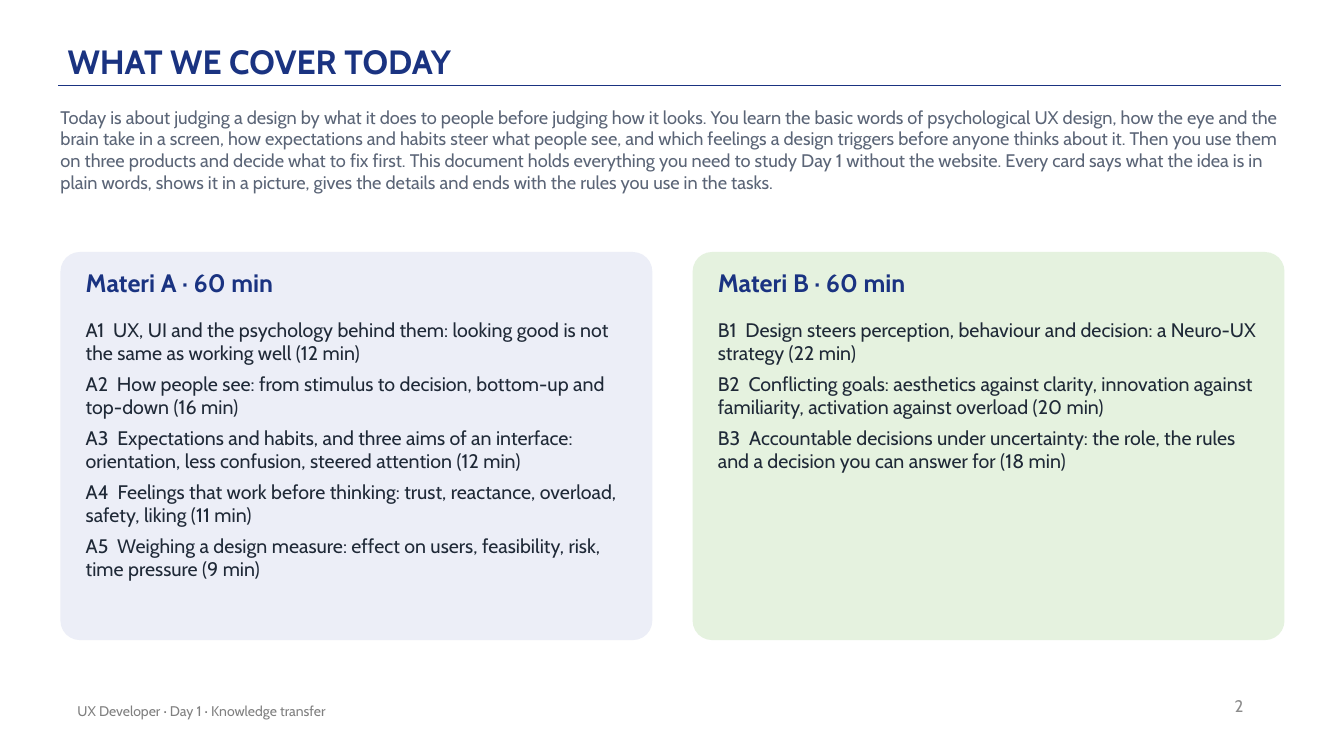
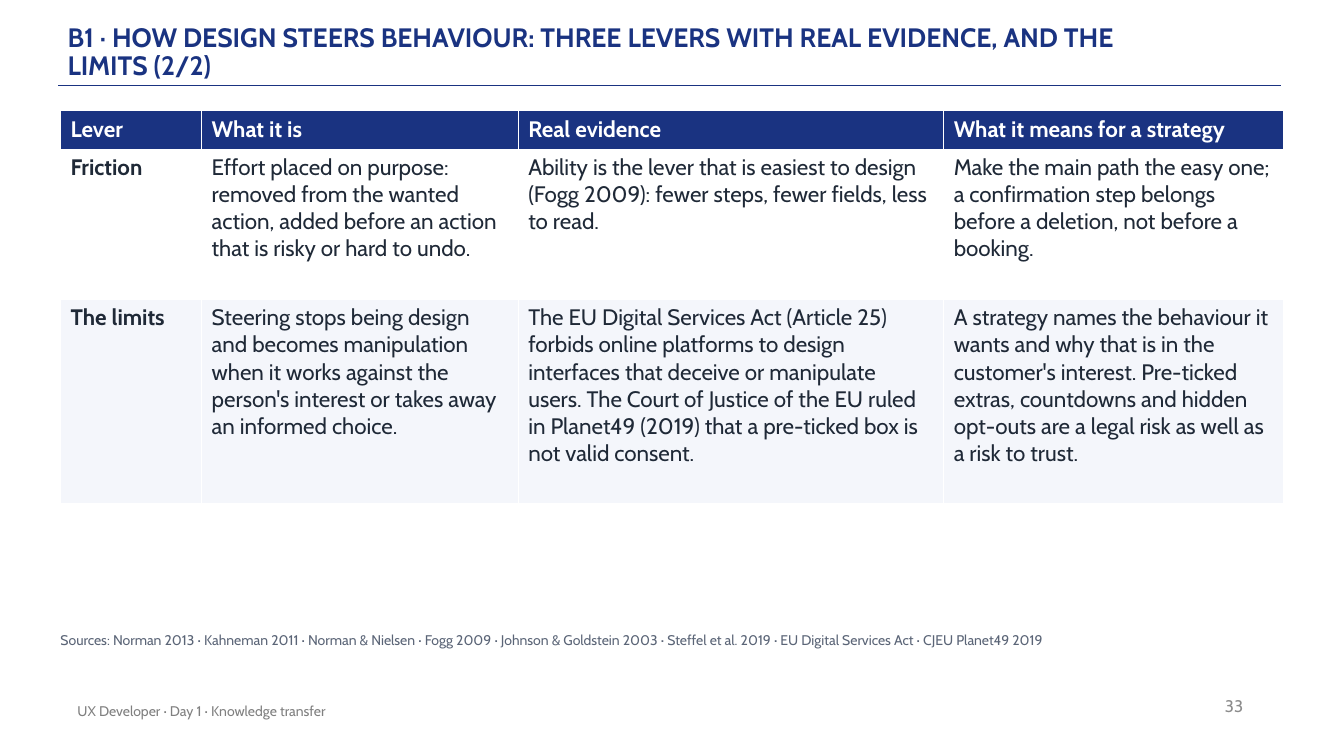
from dataclasses import dataclass

from pptx import Presentation
from pptx.dml.color import RGBColor as Rgb
from pptx.enum.shapes import MSO_CONNECTOR as Link, MSO_SHAPE as Form
from pptx.enum.text import MSO_ANCHOR as Anchor, PP_ALIGN as Align
from pptx.oxml.ns import qn
from pptx.util import Emu, Pt
from lxml.etree import SubElement as add_child

PX = 9144  # one px is a hundredth of an inch


@dataclass(frozen=True)
class Theme:
    font: str = "Cabin"
    navy: str = "1A3381"
    ink: str = "1F2937"
    slate: str = "5B6577"
    gray: str = "808080"
    pale: str = "8C8C8C"
    white: str = "FFFFFF"
    band: str = "F4F6FB"
    blue: str = "ECEEF7"
    green: str = "E5F2DF"
    title: int = 24
    small: int = 19  # long titles
    head: int = 18
    cell: int = 16
    body: int = 14
    intro: int = 13
    page: int = 12
    note: int = 10


T = Theme()
LEFT = 60
WIDE = 1210

COVER = {
    "title": "WHAT WE COVER TODAY",
    "page": "2",
    "intro": (
        "Today is about judging a design by what it does to people before judging how it looks. "
        "You learn the basic words of psychological UX design, how the eye and the brain take in a screen, "
        "how expectations and habits steer what people see, and which feelings a design triggers before "
        "anyone thinks about it. Then you use them on three products and decide what to fix first. "
        "This document holds everything you need to study Day 1 without the website. Every card says what "
        "the idea is in plain words, shows it in a picture, gives the details and ends with the rules you "
        "use in the tasks."
    ),
    "cards": [
        ("Materi A · 60 min", T.blue, [
            "A1  UX, UI and the psychology behind them: looking good is not the same as working well (12 min)",
            "A2  How people see: from stimulus to decision, bottom-up and top-down (16 min)",
            "A3  Expectations and habits, and three aims of an interface: orientation, less confusion, "
            "steered attention (12 min)",
            "A4  Feelings that work before thinking: trust, reactance, overload, safety, liking (11 min)",
            "A5  Weighing a design measure: effect on users, feasibility, risk, time pressure (9 min)",
        ]),
        ("Materi B · 60 min", T.green, [
            "B1  Design steers perception, behaviour and decision: a Neuro-UX strategy (22 min)",
            "B2  Conflicting goals: aesthetics against clarity, innovation against familiarity, "
            "activation against overload (20 min)",
            "B3  Accountable decisions under uncertainty: the role, the rules and a decision you can "
            "answer for (18 min)",
        ]),
    ],
}

LEVERS = {
    "title": "B1 · HOW DESIGN STEERS BEHAVIOUR: THREE LEVERS WITH REAL EVIDENCE, AND THE LIMITS (2/2)",
    "page": "33",
    "cols": [140, 314, 422, 337],
    "heights": [38, 149, 203],
    "rows": [
        ["Lever", "What it is", "Real evidence", "What it means for a strategy"],
        ["Friction",
         "Effort placed on purpose: removed from the wanted action, added before an action that is risky "
         "or hard to undo.",
         "Ability is the lever that is easiest to design (Fogg 2009): fewer steps, fewer fields, less to read.",
         "Make the main path the easy one; a confirmation step belongs before a deletion, not before a booking."],
        ["The limits",
         "Steering stops being design and becomes manipulation when it works against the person's interest "
         "or takes away an informed choice.",
         "The EU Digital Services Act (Article 25) forbids online platforms to design interfaces that deceive "
         "or manipulate users. The Court of Justice of the EU ruled in Planet49 (2019) that a pre-ticked box "
         "is not valid consent.",
         "A strategy names the behaviour it wants and why that is in the customer's interest. Pre-ticked "
         "extras, countdowns and hidden opt-outs are a legal risk as well as a risk to trust."],
    ],
    "sources": (
        "Sources: Norman 2013 · Kahneman 2011 · Norman & Nielsen · Fogg 2009 · Johnson & Goldstein 2003 · "
        "Steffel et al. 2019 · EU Digital Services Act · CJEU Planet49 2019"
    ),
}


# Basic elements
def px(*nums):
    return [Emu(n * PX) for n in nums]


def assign(obj, values):
    for name, value in values.items():
        setattr(obj, name, value)


def write(para, text, size, color, bold=False):
    run = para.add_run()
    run.text = text
    assign(run.font, {"name": T.font, "size": Pt(size), "bold": bold})
    run.font.color.rgb = Rgb.from_string(color)


def add_text(slide, area, lines, size, color, bold=False, inset=(0, 0), anchor=Anchor.TOP, **form):
    frame = slide.shapes.add_textbox(*px(*area)).text_frame
    side, edge = px(*inset)
    assign(frame, {
        "word_wrap": True, "vertical_anchor": anchor,
        "margin_left": side, "margin_right": side, "margin_top": edge, "margin_bottom": edge,
    })
    for i, line in enumerate(lines):
        para = frame.add_paragraph() if i else frame.paragraphs[0]
        assign(para, form)
        write(para, line, size, color, bold)


def add_rule(slide, x, y, end):
    line = slide.shapes.add_connector(Link.STRAIGHT, *px(x, y, end, y))
    line.line.color.rgb = Rgb.from_string(T.navy)
    line.line.width = Pt(1)
    add_child(line._element.spPr, qn("a:effectLst"))


def add_card(slide, x, head, fill, items):
    top, width, pad = 250, 587, 25
    card = slide.shapes.add_shape(Form.ROUNDED_RECTANGLE, *px(x, top, width, 385))
    card.adjustments[0] = 0.05
    card.shadow.inherit = False
    card.fill.solid()
    card.fill.fore_color.rgb = Rgb.from_string(fill)
    card.line.fill.background()
    inner = width - 2 * pad
    add_text(slide, (x + pad, top + 15, inner, 40), [head], T.head, T.navy, True)
    add_text(slide, (x + pad, top + 65, inner, 310), items, T.body, T.ink, space_after=Pt(5))


def add_grid(slide, x, y, cols, heights, rows):
    area = px(x, y, sum(cols), sum(heights))
    grid = slide.shapes.add_table(len(rows), len(cols), *area).table
    for col, width in zip(grid.columns, px(*cols)):
        col.width = width
    for row, height in zip(grid.rows, px(*heights)):
        row.height = height
    fills = [T.navy, T.white, T.band]
    for r, texts in enumerate(rows):
        for c, text in enumerate(texts):
            cell = grid.cell(r, c)
            cell.fill.solid()
            cell.fill.fore_color.rgb = Rgb.from_string(fills[r])
            color = T.ink if r else T.white
            write(cell.text_frame.paragraphs[0], text, T.cell, color, r == 0 or c == 0)


# Shared title, rule and footer
def add_page(deck, title, page, size=T.title):
    slide = deck.slides.add_slide(deck.slide_layouts[6])
    add_rule(slide, 58, 85, 1271)
    add_text(slide, (67, 12, 1100, 72), [title], size, T.navy, True, (0, 3), Anchor.BOTTOM, line_spacing=0.9)
    foot = {"inset": (10, 5), "anchor": Anchor.MIDDLE}
    add_text(slide, (943, 680, 300, 40), [page], T.page, T.pale, alignment=Align.RIGHT, **foot)
    add_text(slide, (67, 685, 670, 40), ["UX Developer · Day 1 · Knowledge transfer"], T.note, T.gray, **foot)
    return slide


# Slides
def add_cover(deck):
    slide = add_page(deck, COVER["title"], COVER["page"])
    add_text(slide, (LEFT, 105, WIDE, 120), [COVER["intro"]], T.intro, T.slate)
    for i, card in enumerate(COVER["cards"]):
        add_card(slide, LEFT + i * 627, *card)


def add_levers(deck):
    slide = add_page(deck, LEVERS["title"], LEVERS["page"], T.small)
    add_grid(slide, LEFT, 110, LEVERS["cols"], LEVERS["heights"], LEVERS["rows"])
    add_text(slide, (LEFT, 627, WIDE, 30), [LEVERS["sources"]], T.note, T.slate)


def main():
    deck = Presentation()
    deck.slide_width, deck.slide_height = px(1333, 750)
    add_cover(deck)
    add_levers(deck)
    deck.save("out.pptx")


if __name__ == "__main__":
    main()
